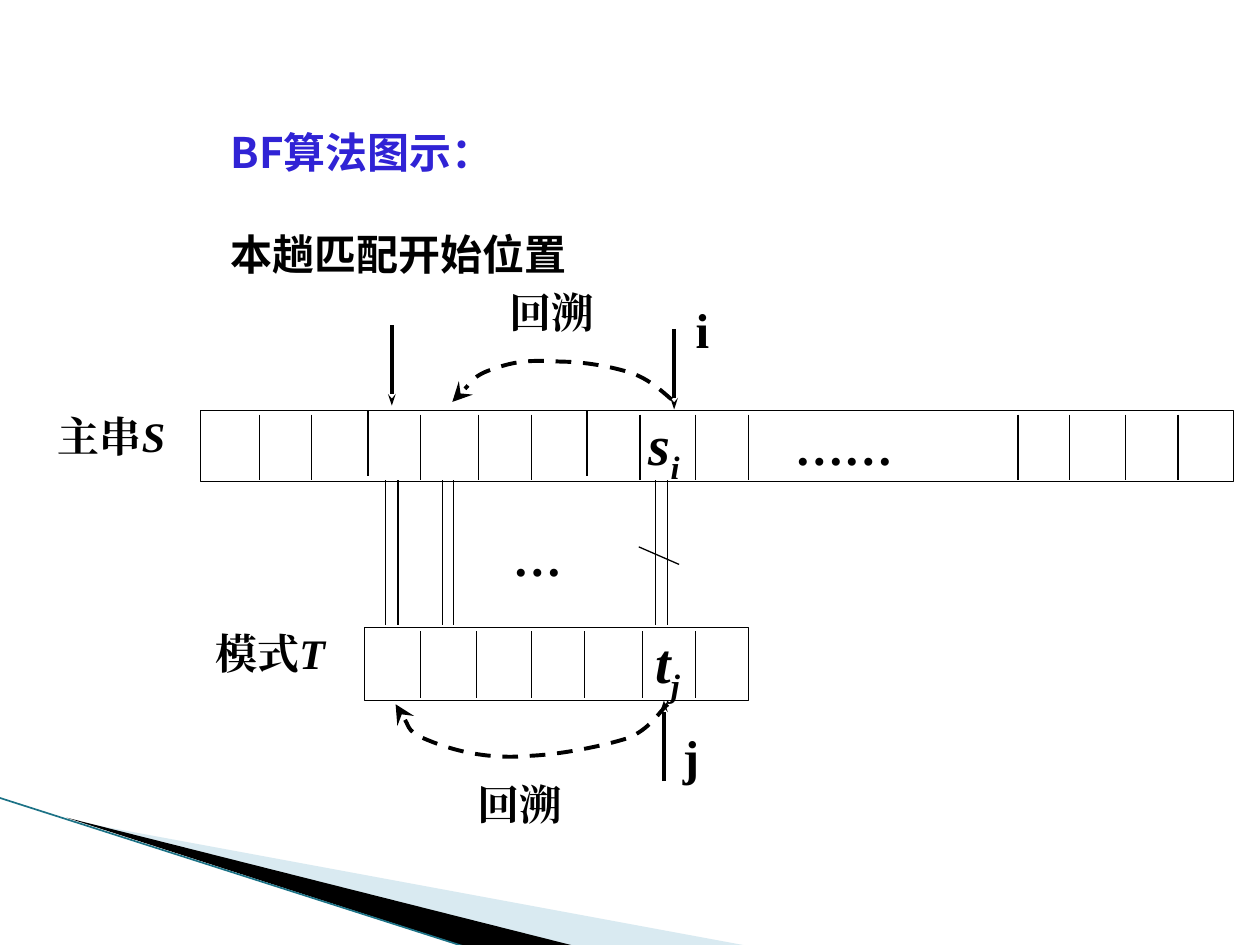
"""Build the BF string-matching diagram slide."""
import pptx
import pptx.util
import pptx.dml.color
import pptx.enum.dml
import pptx.enum.shapes
import pptx.enum.text
import pptx.oxml.ns
import lxml.etree

qn = pptx.oxml.ns.qn
sub = lxml.etree.SubElement


def paint(fill, color):
    fill.solid()
    fill.fore_color.rgb = pptx.dml.color.RGBColor.from_string(color)


def write(p, text, size=24, font="Times New Roman", color="000000", italic=False, base=0):
    r = p.add_run()
    r.text = text
    r.font.size = pptx.util.Pt(size)
    r.font.name = font
    r.font.bold = True
    r.font.italic = italic
    paint(r.font.fill, color)
    rpr = r.font._element
    sub(rpr, qn("a:ea"), typeface=font)
    if base:
        rpr.set("baseline", str(base * 1000))
    p.alignment = pptx.enum.text.PP_ALIGN.JUSTIFY


prs = pptx.Presentation()
prs.slide_width = pptx.util.Inches(10)
prs.slide_height = pptx.util.Inches(7.5)
W, H = prs.slide_width // 100, prs.slide_height // 100
s = prs.slides.add_slide(prs.slide_layouts[6])

bands = [
    ([(5.5, 86.8), (59.5, 100.13), (45.6, 100.13)], "A0CBDC", 40),
    ([(5.3, 86.53), (45.7, 100.13), (37.2, 100.27)], "000000", 100),
]
for points, color, alpha in bands:
    pts = [(int(x * W), int(y * H)) for x, y in points]
    fb = s.shapes.build_freeform(*pts[0])
    fb.add_line_segments(pts[1:])
    sp = fb.convert_to_shape()
    sp.shadow.inherit = False
    sp.line.fill.background()
    paint(sp.fill, color)
    if alpha < 100:
        clr = sp._element.spPr.find(".//" + qn("a:srgbClr"))
        sub(clr, qn("a:alpha"), val=str(alpha * 1000))

strings = [
    ((15.9, 43.47, 82, 7.47), 35.6, "s", "i", "\t……"),
    ((28.9, 66.4, 30.5, 7.73), 23.1, "t", "j", ""),
]
for box, indent, name, index, rest in strings:
    x, y, w, h = [int(v * u) for v, u in zip(box, (W, H, W, H))]
    sp = s.shapes.add_shape(pptx.enum.shapes.MSO_SHAPE.RECTANGLE, x, y, w, h)
    sp.shadow.inherit = False
    sp.fill.background()
    paint(sp.line.fill, "000000")
    sp.line.width = pptx.util.Pt(0.75)
    tf = sp.text_frame
    tf.word_wrap = True
    tf.vertical_anchor = pptx.enum.text.MSO_ANCHOR.MIDDLE
    tf.margin_left = int(indent * W)
    tf.margin_right = tf.margin_top = tf.margin_bottom = 0
    p = tf.paragraphs[0]
    p.line_spacing = 0.96
    write(p, name, size=32, italic=True)
    write(p, index, size=32, italic=True, base=-25)
    if rest:
        tabs = sub(p._p.get_or_add_pPr(), qn("a:tabLst"))
        sub(tabs, qn("a:tab"), pos=str(int(11.6 * W)), algn="l")
        write(p, rest, size=28)

s_dividers = [20.6, 24.7, 29.2, 33.4, 38, 42.2, 46.6, 50.8, 55.2, 59.4, 80.8, 84.9, 89.3, 93.5]
t_dividers = [33.4, 37.8, 42.2, 46.4, 51, 55.2]
matches = [30.6, 31.6, 35.1, 36, 52, 53]
raised = (29.2, 46.6)
tops = [43.47 if x in raised else 43.87 for x in s_dividers]
thin = [(x, y, x, y + 6.93) for x, y in zip(s_dividers, tops)]
thin += [(x, 66.8, x, 73.87) for x in t_dividers]
thin += [(x, 50.8, x, 66.13) for x in matches]
thin += [(50.7, 57.87, 53.9, 59.73)]
arrows = [(31.1, 34.4, 31.1, 42.93), (53.5, 34.8, 53.5, 43.33), (52.7, 82.67, 52.7, 74.13)]
lines = [((-0.1, 84.4, 37.1, 100.27), "1C7286", 0.95, False)]
lines += [(ends, "000000", 0.75, False) for ends in thin]
lines += [(ends, "000000", 2.25, True) for ends in arrows]
for ends, color, width, arrow in lines:
    x1, y1, x2, y2 = [int(v * u) for v, u in zip(ends, (W, H, W, H))]
    c = s.shapes.add_connector(pptx.enum.shapes.MSO_CONNECTOR.STRAIGHT, x1, y1, x2, y2)
    paint(c.line.fill, color)
    c.line.width = pptx.util.Pt(width)
    spPr = c._element.spPr
    if arrow:
        sub(spPr.find(qn("a:ln")), qn("a:tailEnd"), type="stealth", w="sm", len="med")
    sub(spPr, qn("a:effectLst"))

curves = [
    [(53, 74.53), (52.4, 75.2), (51.6, 77.2), (49.8, 78.13), (47.9, 78.93),
     (44.5, 79.87), (41.9, 80), (38.6, 80.4), (35.8, 79.33), (34.1, 78.4),
     (32.3, 77.47), (31.9, 75.33), (31.4, 74.53)],
    [(53.3, 42.27), (52.8, 41.73), (51.6, 40.13), (50.1, 39.47), (48.6, 38.8),
     (46.3, 38.27), (44.5, 38.27), (41.7, 38), (40.5, 38.4), (39.1, 39.07),
     (37.6, 39.73), (36.5, 41.87), (35.9, 42.53)],
]
for points in curves:
    pts = [(int(x * W), int(y * H)) for x, y in points]
    fb = s.shapes.build_freeform(*pts[0])
    fb.add_line_segments(pts[1:], close=False)
    sp = fb.convert_to_shape()
    sp.shadow.inherit = False
    sp.fill.background()
    paint(sp.line.fill, "000000")
    sp.line.width = pptx.util.Pt(2.25)
    sp.line.dash_style = pptx.enum.dml.MSO_LINE.DASH
    spPr = sp._element.spPr
    sub(spPr.find(qn("a:ln")), qn("a:tailEnd"), type="stealth", w="lg", len="lg")
    path = spPr.find(".//" + qn("a:path"))
    segments = path.findall(qn("a:lnTo"))
    for i in range(0, len(segments), 3):
        bez = sub(path, qn("a:cubicBezTo"))
        for seg in segments[i:i + 3]:
            bez.append(seg[0])
            path.remove(seg)

cjk = "Noto Sans CJK SC"
labels = [
    ((18.3, 8, 53.8, 22.27), 58, [[("BF算法图示：", dict(font=cjk, color="3023D5"))],
                                  [("本趟匹配开始位置", dict(font=cjk))]]),
    ((4.6, 43.47, 10.8, 6.67), 0, [[("主串", {}), ("S", dict(italic=True))]]),
    ((17.1, 66.4, 14.2, 6.67), 0, [[("模式", {}), ("T", dict(italic=True))]]),
    ((54.2, 76.93, 1.4, 7.47), 0, [[("j", dict(size=28))]]),
    ((37.9, 82.4, 10, 7.07), 0, [[("回溯", {})]]),
    ((40.4, 30.27, 8.2, 7.07), 0, [[("回溯", {})]]),
    ((55.2, 31.73, 1.5, 7.47), 0, [[("i", dict(size=28))]]),
    ((40.7, 55.87, 6.1, 6.93), 0, [[("…", dict(size=28))]]),
]
for box, spacing, paragraphs in labels:
    x, y, w, h = [int(v * u) for v, u in zip(box, (W, H, W, H))]
    tf = s.shapes.add_textbox(x, y, w, h).text_frame
    tf.word_wrap = True
    tf.margin_left = tf.margin_right = tf.margin_top = tf.margin_bottom = 0
    for i, runs in enumerate(paragraphs):
        p = tf.add_paragraph() if i else tf.paragraphs[0]
        if spacing:
            p.line_spacing = pptx.util.Pt(spacing)
        for text, fmt in runs:
            write(p, text, **fmt)

prs.save("out.pptx")
